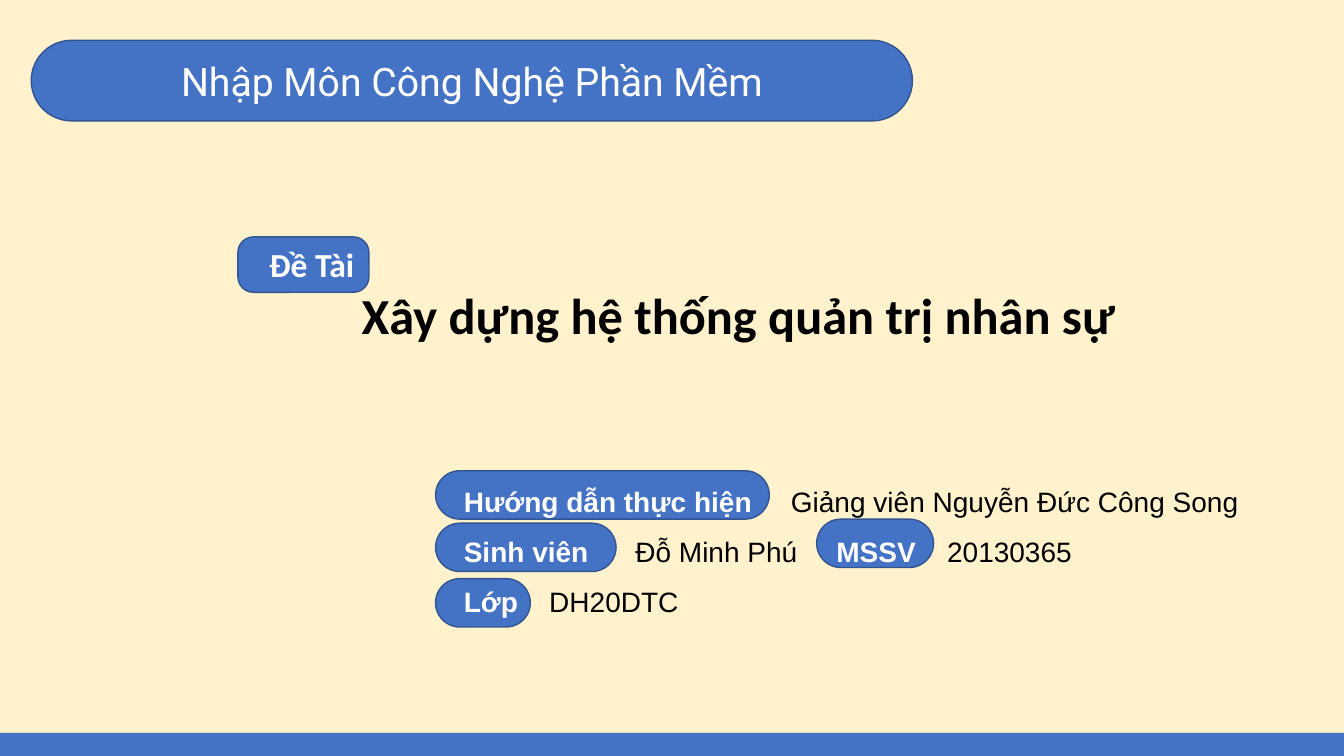
"""Build the cover slide of a software engineering course project."""
import pptx
import pptx.util
import pptx.dml.color
import pptx.enum.shapes
import pptx.enum.text
import pptx.oxml
import pptx.oxml.ns

Inches, Pt = pptx.util.Inches, pptx.util.Pt
SHAPE = pptx.enum.shapes.MSO_SHAPE
ALIGN = pptx.enum.text.PP_ALIGN
ANCHOR = pptx.enum.text.MSO_ANCHOR

COLORS = {"cream": "FFF2CC", "blue": "4472C4", "edge": "325491",
          "white": "FFFFFF", "black": "000000"}
COURSE = "Nhập Môn Công Nghệ Phần Mềm"
TOPIC = [("Đề Tài", 24, "white", ALIGN.LEFT),
         ("Xây dựng hệ thống quản trị nhân sự", 36, "black", ALIGN.CENTER)]
DETAILS = [
    [("Hướng dẫn thực hiện", 22.2, "Giảng viên Nguyễn Đức Công Song")],
    [("Sinh viên", 27.8, "Đỗ Minh Phú"), ("MSSV", 16.7, "20130365")],
    [("Lớp", 16.7, "DH20DTC")],
]
PAIR_GAP = 22.2
DETAIL_PILLS = [(8.1, 5.15, 1.16), (4.32, 5.74, 0.94),
                (4.32, 5.19, 1.79), (4.32, 4.67, 3.31)]
PILL_HEIGHT = 0.48
TOPIC_PILL = (2.36, 2.35, 1.3, 0.55)
COURSE_BANNER = (0.31, 0.4, 8.74, 0.8)
TOPIC_BOX = (2.57, 2.37, 9.51, 1.11)
DETAIL_BOX = (4.5, 4.14, 8.31, 2.49)
FOOTER_BAR = (0, 7.27, 13.33, 0.25)


def rgb(name):
    return pptx.dml.color.RGBColor.from_string(COLORS[name])


def set_all(target, values):
    for key, value in values.items():
        setattr(target, key, value)


def place(part, box):
    set_all(part, dict(zip(("left", "top", "width", "height"), map(Inches, box))))


def add_run(paragraph, text, font, size, color, bold=False):
    run = paragraph.add_run()
    run.text = text
    set_all(run.font, {"name": font, "size": Pt(size), "bold": bold})
    run.font.color.rgb = rgb(color)
    return run


def add_gap(paragraph, points):
    gap = add_run(paragraph, " ", "Arial", 20, "black")
    gap._r.get_or_add_rPr().set("spc", str(round(points * 100)))


def add_block(kind, box, rounding=None):
    block = slide.shapes.add_shape(kind, *map(Inches, box))
    block.shadow.inherit = False
    block.fill.solid()
    block.fill.fore_color.rgb = rgb("blue")
    if rounding is None:
        block.line.fill.background()
    else:
        block.adjustments[0] = rounding
        block.line.color.rgb = rgb("edge")
        block.line.width = Pt(1)
    return block


def bring_forward(placeholder, box, anchor):
    place(placeholder, box)
    placeholder.element.getparent().append(placeholder.element)
    set_all(placeholder.text_frame, {
        "word_wrap": True, "vertical_anchor": anchor,
        "auto_size": pptx.enum.text.MSO_AUTO_SIZE.NONE})
    return placeholder.text_frame


def paragraphs(frame, count):
    return [frame.paragraphs[0]] + [frame.add_paragraph() for _ in range(count - 1)]


def remove_bullet(paragraph):
    properties = paragraph._p.get_or_add_pPr()
    for key in ("marL", "indent"):
        properties.set(key, "0")
    properties.append(pptx.oxml.parse_xml(f"<a:buNone {pptx.oxml.ns.nsdecls('a')}/>"))


deck = pptx.Presentation()
set_all(deck, {"slide_width": Inches(13.33), "slide_height": Inches(7.5)})
slide = deck.slides.add_slide(deck.slide_layouts[1])
slide.background.fill.solid()
slide.background.fill.fore_color.rgb = rgb("cream")

for pill in DETAIL_PILLS:
    add_block(SHAPE.ROUNDED_RECTANGLE, (*pill, PILL_HEIGHT), 0.5)
add_block(SHAPE.ROUNDED_RECTANGLE, TOPIC_PILL, 0.28)

course = add_block(SHAPE.ROUNDED_RECTANGLE, COURSE_BANNER, 0.5).text_frame
course.vertical_anchor = ANCHOR.MIDDLE
course.paragraphs[0].alignment = ALIGN.CENTER
add_run(course.paragraphs[0], COURSE, "Roboto", 28, "white")

topic = bring_forward(slide.shapes.title, TOPIC_BOX, ANCHOR.TOP)
for paragraph, (text, size, color, alignment) in zip(paragraphs(topic, len(TOPIC)), TOPIC):
    paragraph.alignment = alignment
    add_run(paragraph, text, "Calibri", size, color, True)

details = bring_forward(slide.placeholders[1], DETAIL_BOX, ANCHOR.MIDDLE)
for paragraph, pairs in zip(paragraphs(details, len(DETAILS)), DETAILS):
    set_all(paragraph, {"line_spacing": 1.5, "space_before": Pt(0)})
    remove_bullet(paragraph)
    for position, (label, gap, value) in enumerate(pairs):
        if position:
            add_gap(paragraph, PAIR_GAP)
        add_run(paragraph, label, "Arial", 20, "white", True)
        add_gap(paragraph, gap)
        add_run(paragraph, value, "Arial", 20, "black")

add_block(SHAPE.RECTANGLE, FOOTER_BAR)
deck.save("out.pptx")
